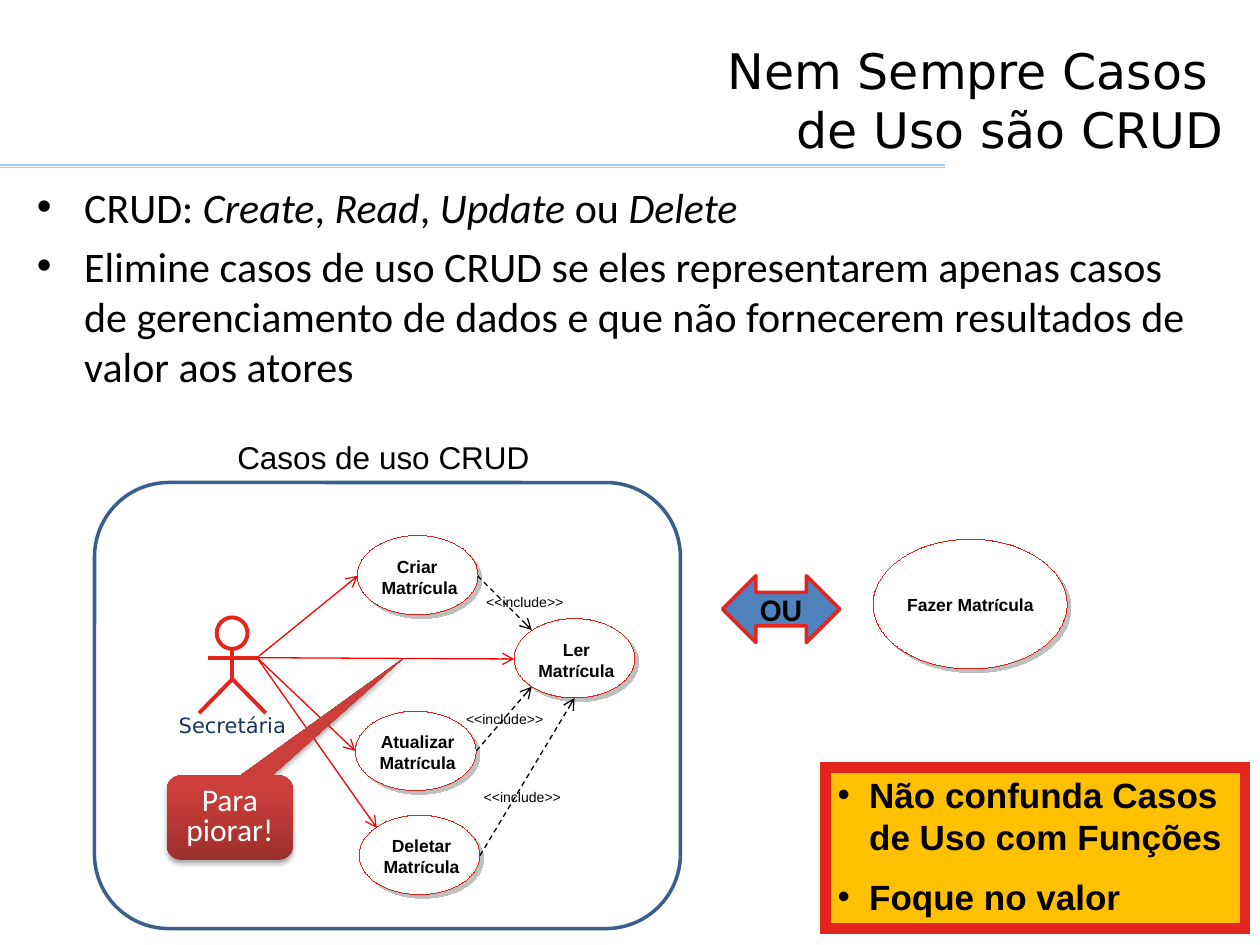
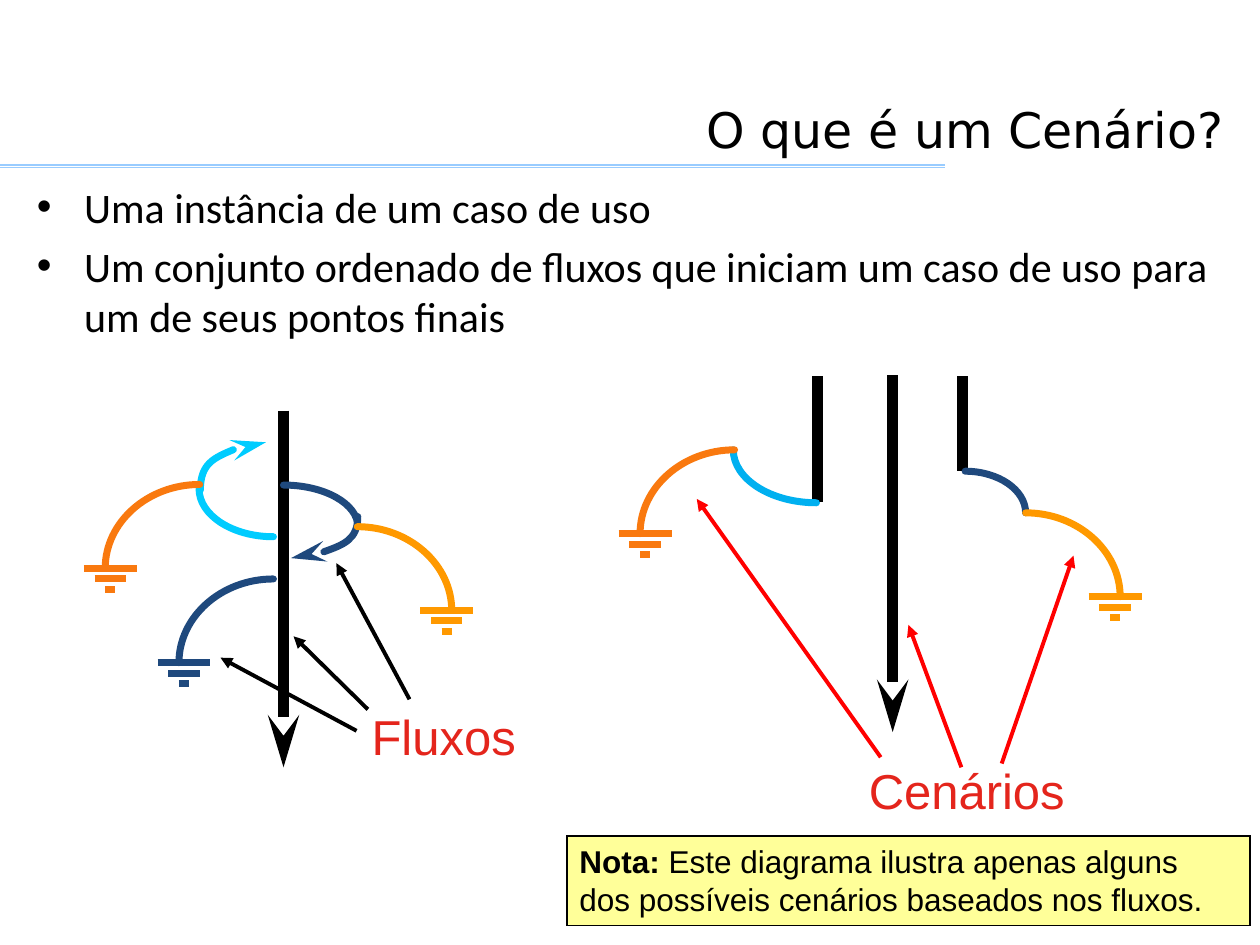
from dataclasses import dataclass, replace
from typing import Any, NamedTuple

from lxml import etree
from pptx import Presentation
from pptx.dml.color import RGBColor
from pptx.enum.dml import MSO_LINE
from pptx.enum.shapes import MSO_CONNECTOR, MSO_SHAPE
from pptx.enum.text import MSO_ANCHOR, PP_ALIGN
from pptx.oxml.ns import qn
from pptx.util import Emu, Pt

LEFT, CENTER, RIGHT = PP_ALIGN.LEFT, PP_ALIGN.CENTER, PP_ALIGN.RIGHT
TOP, MIDDLE, BOTTOM = MSO_ANCHOR.TOP, MSO_ANCHOR.MIDDLE, MSO_ANCHOR.BOTTOM
ELLIPSE, RECTANGLE = MSO_SHAPE.OVAL, MSO_SHAPE.RECTANGLE
ROUNDED, DOUBLE_ARROW = MSO_SHAPE.ROUNDED_RECTANGLE, MSO_SHAPE.LEFT_RIGHT_ARROW
CALLOUT = MSO_SHAPE.ROUNDED_RECTANGULAR_CALLOUT
STRAIGHT, DASH = MSO_CONNECTOR.STRAIGHT, MSO_LINE.DASH

# Grid of 100 columns by 75 rows; every length below is in grid cells
COLUMNS, ROWS, CELL = 100, 75, 91440

BLACK, WHITE, RED, BRIGHT_RED = "000000", "FFFFFF", "E4251C", "FF0000"
NAVY, ORANGE, AMBER, CYAN, SKY = "1F497D", "F9790F", "FF9900", "00CCFF", "00B0F0"
RULE_BLUE, GREY, CASE_RED = "99CCFF", "C0BFC0", "DA251D"


class Point(NamedTuple):
    x: float
    y: float


class Box(NamedTuple):
    left: float
    top: float
    width: float
    height: float


class Run(NamedTuple):
    text: str
    format: dict[str, Any] = {}


Lines = list[list[Run]]


@dataclass(frozen=True)
class TextStyle:
    size: float
    name: str = "Arial"
    colour: str = BLACK
    bold: bool = False
    align: Any = LEFT
    anchor: Any = TOP
    wrap: bool = True
    insets: tuple[float, float] = (1, 0.5)
    indent: float = 0
    space_before: float = 0
    line_spacing: float = 0


TITLE = TextStyle(28, "DejaVu Sans", align=RIGHT, anchor=BOTTOM)
BODY = TextStyle(24, "Calibri", indent=3.75, space_before=4.8)
WARNING = TextStyle(20, bold=True, indent=2.5, space_before=10)
CASE = TextStyle(10, bold=True, align=CENTER, wrap=False, insets=(0, 0))
SINGLE_CASE = replace(CASE, align=LEFT, wrap=True)
INCLUDE = TextStyle(8, wrap=False)
HEADING = TextStyle(18, wrap=False)
NOTE = TextStyle(18)
CAPTION = TextStyle(28, colour=RED, wrap=False, insets=(1.2, 0.6))
ACTOR = TextStyle(12, "DejaVu Sans", "17375E", align=CENTER)
CHOICE = TextStyle(18, "Calibri", bold=True, align=CENTER, anchor=MIDDLE)
REMARK = TextStyle(18, "Calibri", WHITE, align=CENTER, anchor=MIDDLE, line_spacing=17)


@dataclass(frozen=True)
class UseCase:
    box: Box
    label: Box
    lines: Lines
    style: TextStyle = CASE


@dataclass(frozen=True)
class Branch:
    """Arc that leaves a pole sideways and ends in a ground symbol."""
    pole: Point
    side: int
    colour: str


def rgb(colour: str) -> RGBColor:
    return RGBColor.from_string(colour)


def cells(count: float) -> Emu:
    return Emu(round(count * CELL))


def set_values(target: Any, values: dict[str, Any]) -> None:
    for attribute, value in values.items():
        setattr(target, attribute, value)


def add_bullet(paragraph: Any, indent: float) -> None:
    properties = paragraph._p.get_or_add_pPr()
    properties.set("marL", str(cells(indent)))
    properties.set("indent", str(-cells(indent)))
    etree.SubElement(properties, qn("a:buFont")).set("typeface", "Arial")
    etree.SubElement(properties, qn("a:buChar")).set("char", "•")


def write(shape: Any, lines: Lines, style: TextStyle) -> None:
    frame = shape.text_frame
    across, down = map(cells, style.insets)
    set_values(frame, {
        "word_wrap": style.wrap, "vertical_anchor": style.anchor,
        "margin_left": across, "margin_right": across,
        "margin_top": down, "margin_bottom": down})
    for number, runs in enumerate(lines):
        paragraph = frame.add_paragraph() if number else frame.paragraphs[0]
        if style.indent:
            add_bullet(paragraph, style.indent)
        paragraph.alignment = style.align
        paragraph.space_before = Pt(style.space_before if number else 0)
        if style.line_spacing:
            paragraph.line_spacing = Pt(style.line_spacing)
        for text, changes in runs:
            for index, piece in enumerate(text.split("\v")):
                if index:
                    paragraph.add_line_break()
                run = paragraph.add_run()
                run.text = piece
                run.font.color.rgb = rgb(style.colour)
                set_values(run.font, {"size": Pt(style.size), "name": style.name,
                                      "bold": style.bold} | changes)


def add_text(slide: Any, box: Box, lines: Lines, style: TextStyle) -> None:
    write(slide.shapes.add_textbox(*map(cells, box)), lines, style)


def outline_of(shape: Any) -> Any:
    return shape.element.spPr.find(qn("a:ln"))


def paint(shape: Any, fill: str, line: str, width: float) -> None:
    shape.shadow.inherit = False
    if fill:
        shape.fill.solid()
        shape.fill.fore_color.rgb = rgb(fill)
    else:
        shape.fill.background()
    if line:
        shape.line.color.rgb = rgb(line)
        outline_of(shape).set("w", str(Pt(width)))
    else:
        shape.line.fill.background()


def add_shape(slide: Any, kind: Any, box: Box, fill: str = "", line: str = "",
              width: float = 0) -> Any:
    shape = slide.shapes.add_shape(kind, *map(cells, box))
    paint(shape, fill, line, width)
    if kind == RECTANGLE:
        etree.SubElement(outline_of(shape), qn("a:miter")).set("lim", "800000")
    return shape


def add_tail(shape: Any, tail: str) -> None:
    end = etree.SubElement(outline_of(shape), qn("a:tailEnd"), type=tail)
    if tail == "stealth":
        end.set("len", "lg")


def add_line(slide: Any, start: Point, end: Point, colour: str, width: float,
             tail: str = "", dashed: bool = False) -> None:
    connector = slide.shapes.add_connector(STRAIGHT, *map(cells, (*start, *end)))
    connector.line.color.rgb = rgb(colour)
    connector.line.width = Pt(width)
    if dashed:
        connector.line.dash_style = DASH
    if tail:
        add_tail(connector, tail)
    etree.SubElement(connector.element.spPr, qn("a:effectLst"))


def add_path(slide: Any, points: list[Point], colour: str, width: float) -> Any:
    start, *rest = [(cells(x), cells(y)) for x, y in points]
    builder = slide.shapes.build_freeform(*start)
    builder.add_line_segments(rest, close=False)
    shape = builder.convert_to_shape()
    paint(shape, "", colour, width)
    return shape


def add_arc(slide: Any, side: Point, pole: Point, colour: str, tail: str = "") -> None:
    """Draw a quarter ellipse, upright at its side and level at its pole."""
    arc = add_path(slide, [side, pole], colour, 4)
    across, down = pole.x - side.x, pole.y - side.y
    tilt = 0.05 if tail else 0
    curve = etree.Element(qn("a:cubicBezTo"))
    for x, y in ((side.x, side.y + 0.55 * down),
                 (pole.x - 0.55 * across, pole.y - tilt * down), pole):
        etree.SubElement(curve, qn("a:pt"), x=str(cells(x) - arc.left),
                         y=str(cells(y) - arc.top))
    segment = next(arc.element.iter(qn("a:lnTo")))
    segment.getparent().replace(segment, curve)
    outline_of(arc).set("cap", "rnd")
    if tail:
        add_tail(arc, tail)


def add_branch(slide: Any, branch: Branch) -> None:
    foot = Point(branch.pole.x + branch.side * 7.5, branch.pole.y + 6.65)
    add_arc(slide, foot, branch.pole, branch.colour)
    middle = foot.x - branch.side * 0.4
    for row, width in enumerate((4.2, 2.5, 0.8)):
        y = foot.y + row * 0.83
        add_line(slide, Point(middle - width / 2, y), Point(middle + width / 2, y),
                 branch.colour, 4)


def add_use_case(slide: Any, case: UseCase) -> None:
    left, top, width, height = case.box
    add_shape(slide, ELLIPSE, Box(left + 0.3, top + 0.3, width, height), GREY, GREY)
    add_shape(slide, ELLIPSE, case.box, WHITE, CASE_RED)
    add_text(slide, case.label, case.lines, case.style)


def start_slide(presentation: Any, title: str, body: Lines) -> Any:
    slide = presentation.slides.add_slide(presentation.slide_layouts[6])
    for y in (13.3, 13.1):
        add_line(slide, Point(0, y), Point(75, y), RULE_BLUE, 0.75)
    add_text(slide, Box(1.8, 2.8, 96.25, 10.25), [[Run(title)]], TITLE)
    add_text(slide, Box(1.95, 13.9, 96.1, 59), body, BODY)
    return slide


def add_actor(slide: Any) -> None:
    add_shape(slide, ELLIPSE, Box(17.2, 49, 2.45, 2.5), "", RED, 2.25)
    add_line(slide, Point(18.45, 51.5), Point(18.45, 53.9), RED, 2.25)
    add_line(slide, Point(16.5, 52.2), Point(20.4, 52.2), RED, 2.25)
    add_path(slide, [Point(15.8, 56.6), Point(18.45, 53.9), Point(21.1, 56.6)], RED, 2.25)
    add_text(slide, Box(13.15, 56.1, 10.6, 3), [[Run("Secretária")]], ACTOR)


def add_remark(slide: Any) -> None:
    callout = add_shape(slide, CALLOUT, Box(13.25, 61.55, 10, 6.7))
    for index, value in enumerate((1.383, -1.895, 0.167)):
        callout.adjustments[index] = value
    callout.fill.gradient()
    callout.fill.gradient_angle = 90
    for stop, (position, colour) in zip(callout.fill.gradient_stops,
                                        ((0, "9C2F2D"), (0.8, "CB3E3A"))):
        stop.position = position
        stop.color.rgb = rgb(colour)
    effects = callout.element.spPr.find(qn("a:effectLst"))
    shadow = etree.SubElement(effects, qn("a:outerShdw"), blurRad=str(Pt(3.1)),
                              dist=str(Pt(1.8)), dir="5400000", rotWithShape="0")
    tint = etree.SubElement(shadow, qn("a:srgbClr"), val=BLACK)
    etree.SubElement(tint, qn("a:alpha"), val="35000")
    write(callout, [[Run("Para piorar!")]], REMARK)


def build_crud_slide(presentation: Any) -> None:
    italic = {"italic": True}
    slide = start_slide(presentation, "Nem Sempre Casos \vde Uso são CRUD", [
        [Run("CRUD: "), Run("Create", italic), Run(", "), Run("Read", italic),
         Run(", "), Run("Update", italic), Run(" ou "), Run("Delete", italic)],
        [Run("Elimine casos de uso CRUD se eles representarem apenas casos\vde "
             "gerenciamento de dados e que não fornecerem resultados de valor aos atores")]])
    warning = add_shape(slide, RECTANGLE, Box(65.5, 60.9, 33.3, 12.8), "FFC000", RED, 6)
    write(warning, [[Run("Não confunda Casos de Uso com Funções")],
                    [Run("Foque no valor")]], WARNING)

    # Use cases
    accent, ending = Run("í", {"name": "Calibri"}), Run("cula")
    enrolment = [Run("Matr"), accent, ending]
    for left, top, verb in ((28.35, 42.5, "Criar "), (40.8, 49.1, "Ler"),
                            (28.2, 56.45, "Atualizar "), (28.5, 64.7, "Deletar")):
        add_use_case(slide, UseCase(Box(left, top, 9.6, 6.3),
                                    Box(left + 1.9, top + 1.6, 6.1, 3.4),
                                    [[Run(verb)], enrolment]))
    add_use_case(slide, UseCase(Box(69.3, 42.8, 15.4, 10.3), Box(72, 47.15, 13.2, 2.2),
                                [[Run("Fazer Matr"), accent, ending]], SINGLE_CASE))

    # Include relations
    for start, end, label in (
            (Point(38.1, 67.9), Point(45.6, 55.4), Point(37.4, 62.1)),
            (Point(37.8, 59.6), Point(42.2, 54.5), Point(36, 55.9)),
            (Point(37.9, 45.7), Point(42.2, 50), Point(37.6, 46.6))):
        add_line(slide, start, end, BLACK, 0.75, "arrow", dashed=True)
        add_text(slide, Box(*label, 8.2, 2.4), [[Run("<<include>>")]], INCLUDE)

    # System frame and alternative
    add_shape(slide, ROUNDED, Box(7.5, 38.3, 46.5, 35.4), "", "3A5F8C", 2)
    add_text(slide, Box(17.85, 34.25, 25.4, 4), [[Run("Casos de uso CRUD")]], HEADING)
    choice = add_shape(slide, DOUBLE_ARROW, Box(57.35, 45.7, 9.3, 5.3), "4F81BD", RED, 2)
    write(choice, [[Run("OU")]], CHOICE)

    # Actor and its links
    add_actor(slide)
    for end in (Point(28.4, 45.7), Point(28.2, 59.6), Point(29.9, 65.7), Point(40.8, 52.3)):
        add_line(slide, Point(20.4, 52.2), end, BRIGHT_RED, 0.75, "arrow")
    add_remark(slide)


def build_scenario_slide(presentation: Any) -> None:
    slide = start_slide(presentation, "O que é um Cenário?", [
        [Run("Uma instância de um caso de uso")],
        [Run("Um conjunto ordenado de fluxos que iniciam um caso de uso para "
             "um de seus pontos finais")]])
    note = add_shape(slide, RECTANGLE, Box(45, 66.35, 54.2, 7.1), "FFFF99", BLACK, 0.75)
    write(note, [[Run("Nota:", {"bold": True}),
                  Run(" Este diagrama ilustra apenas alguns dos possíveis cenários "
                      "baseados nos fluxos.")]], NOTE)

    # Main flows
    for x, top, bottom, tail in ((64.9, 29.85, 39.85, ""), (76.4, 29.85, 37.35, ""),
                                 (70.85, 29.8, 58.1, "stealth"),
                                 (22.5, 32.6, 60.9, "stealth")):
        add_line(slide, Point(x, top), Point(x, bottom), BLACK, 6, tail)

    # Alternative flows, the last two returning to the main flow
    for side, pole, colour, tail in (
            (Point(58.2, 35.7), Point(64.8, 39.9), SKY, ""),
            (Point(81.4, 40.7), Point(76.6, 37.4), NAVY, ""),
            (Point(28.4, 41.8), Point(22.5, 38.5), NAVY, ""),
            (Point(15.8, 38.8), Point(21.7, 42.6), CYAN, ""),
            (Point(28.4, 41), Point(23.1, 44.3), NAVY, "stealth"),
            (Point(15.9, 38.9), Point(21.1, 35.1), CYAN, "stealth")):
        add_arc(slide, side, pole, colour, tail)
    for branch in (Branch(Point(58.3, 35.7), -1, ORANGE), Branch(Point(81.4, 40.7), 1, AMBER),
                   Branch(Point(28.35, 41.8), 1, AMBER), Branch(Point(21.7, 45.95), -1, NAVY),
                   Branch(Point(15.85, 38.45), -1, ORANGE)):
        add_branch(slide, branch)

    # Captions and their pointers
    for start, end, colour in (
            (Point(29.2, 56.3), Point(23.3, 50.5), BLACK),
            (Point(32.5, 55.5), Point(26.7, 44.7), BLACK),
            (Point(28.3, 58), Point(17.5, 52.2), BLACK),
            (Point(69.9, 60.1), Point(55.3, 39.6), BRIGHT_RED),
            (Point(79.5, 60.6), Point(85.2, 44.1), BRIGHT_RED),
            (Point(76.3, 60.9), Point(72.1, 49.6), BRIGHT_RED)):
        add_line(slide, start, end, colour, 2.25, "triangle")
    for box, caption in ((Box(28.3, 55.5, 14, 5.9), "Fluxos"),
                         (Box(67.75, 59.75, 18.1, 5.9), "Cenários")):
        add_text(slide, box, [[Run(caption)]], CAPTION)


def main() -> None:
    presentation = Presentation()
    presentation.slide_width, presentation.slide_height = cells(COLUMNS), cells(ROWS)
    build_crud_slide(presentation)
    build_scenario_slide(presentation)
    presentation.save("out.pptx")


if __name__ == "__main__":
    main()
